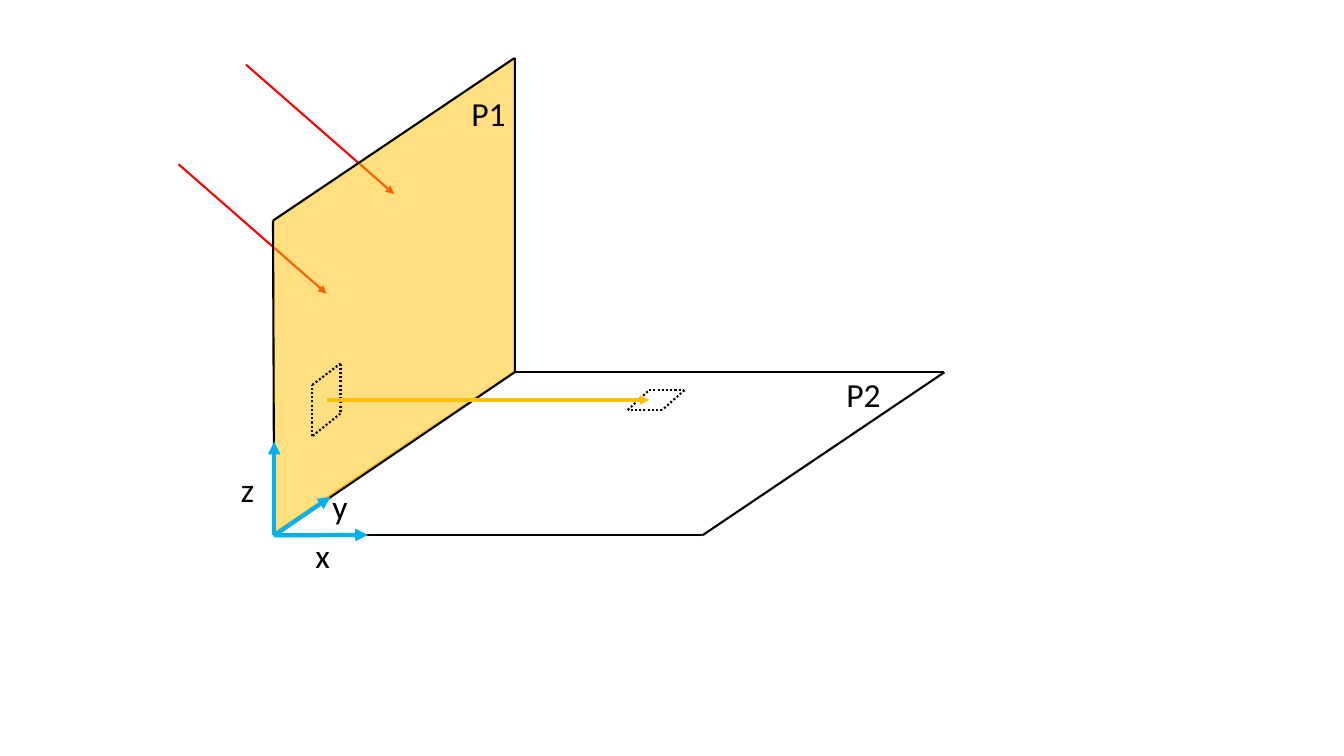
"""Draw light rays hitting plane P1 and the projected patch on plane P2."""
from dataclasses import dataclass

from lxml.etree import SubElement
from pptx import Presentation
from pptx.dml.color import RGBColor
from pptx.enum.dml import MSO_LINE_DASH_STYLE as Dash
from pptx.enum.shapes import MSO_CONNECTOR as Connector
from pptx.enum.text import MSO_AUTO_SIZE as AutoSize
from pptx.oxml.ns import qn
from pptx.slide import Slide
from pptx.util import Cm, Pt

RED = RGBColor(0xFF, 0x00, 0x00)
GOLD = RGBColor(0xFF, 0xC0, 0x00)
BLUE = RGBColor(0x00, 0xB0, 0xF0)
BLACK = RGBColor(0x00, 0x00, 0x00)

Point = tuple[float, float]


@dataclass(frozen=True)
class Stroke:
    color: RGBColor
    width: float
    arrow: bool = False
    dotted: bool = False


@dataclass(frozen=True)
class Label:
    text: str
    left: float
    top: float
    width: float


RAY = Stroke(RED, 1.5, arrow=True)
EDGE = Stroke(BLACK, 1.5)
AXIS = Stroke(BLUE, 3, arrow=True)
PATCH = Stroke(BLACK, 1.5, dotted=True)
PROJECTION = Stroke(GOLD, 2.25, arrow=True)

ORIGIN = (6.91, 13.49)
WALL_TOP_LEFT = (6.88, 5.56)
WALL_TOP_RIGHT = (12.97, 1.46)
HINGE = (12.97, 9.38)
FLOOR_BACK = (23.8, 9.38)
FLOOR_FRONT = (17.7, 13.49)

RAY_STARTS = [(6.2, 1.63), (4.5, 4.14)]
RAY_STEP = (3.73, 3.26)
PANEL = [(6.88, 5.56), (12.95, 1.47), (12.95, 9.37), (6.93, 13.41)]
WALL = [ORIGIN, WALL_TOP_LEFT, WALL_TOP_RIGHT, HINGE, ORIGIN]
FLOOR = [HINGE, FLOOR_BACK, FLOOR_FRONT, ORIGIN]
AXIS_TIPS = [(9.27, 13.48), (6.91, 11.13), (8.33, 12.52)]
WALL_PATCH = [(7.87, 9.7), (8.58, 9.16), (8.58, 10.42), (7.87, 10.99), (7.87, 9.7)]
FLOOR_PATCH = [(16.36, 9.83), (17.25, 9.83), (16.69, 10.33), (15.82, 10.33), (16.36, 9.83)]

LABELS = [
    Label("x", 7.7, 13.36, 0.89),
    Label("y", 8.13, 12.12, 0.89),
    Label("z", 5.82, 11.68, 0.86),
    Label("P1", 11.63, 2.21, 1.4),
    Label("P2", 21.08, 9.3, 1.4),
]


def draw_line(slide: Slide, start: Point, end: Point, stroke: Stroke) -> None:
    connector = slide.shapes.add_connector(
        Connector.STRAIGHT, *(Cm(value) for value in (*start, *end))
    )
    connector.line.color.rgb = stroke.color
    connector.line.width = Pt(stroke.width)
    if stroke.dotted:
        connector.line.dash_style = Dash.ROUND_DOT
    properties = connector._element.spPr
    if stroke.arrow:
        SubElement(properties.find(qn("a:ln")), qn("a:tailEnd"), type="triangle")
    SubElement(properties, qn("a:effectLst"))


def draw_path(slide: Slide, points: list[Point], stroke: Stroke) -> None:
    for start, end in zip(points, points[1:]):
        draw_line(slide, start, end, stroke)


def draw_panel(slide: Slide, corners: list[Point]) -> None:
    first, *others = [(Cm(x), Cm(y)) for x, y in corners]
    builder = slide.shapes.build_freeform(*first)
    builder.add_line_segments(others, close=True)
    panel = builder.convert_to_shape()
    panel.shadow.inherit = False
    panel.fill.solid()
    panel.fill.fore_color.rgb = GOLD
    fill_color = panel._element.spPr.find(qn("a:solidFill"))[0]
    SubElement(fill_color, qn("a:alpha"), val="50000")
    panel.line.color.rgb = GOLD
    panel.line.width = Pt(1)


def draw_label(slide: Slide, label: Label) -> None:
    box = slide.shapes.add_textbox(
        Cm(label.left), Cm(label.top), Cm(label.width), Cm(1.27)
    )
    frame = box.text_frame
    frame.word_wrap = False
    frame.auto_size = AutoSize.SHAPE_TO_FIT_TEXT
    run = frame.paragraphs[0].add_run()
    run.text = label.text
    run.font.name = "Calibri"
    run.font.size = Pt(24)
    run.font.color.rgb = BLACK


def main() -> None:
    presentation = Presentation()
    presentation.slide_width = Cm(33.87)
    presentation.slide_height = Cm(19.05)
    slide = presentation.slides.add_slide(presentation.slide_layouts[6])

    for x, y in RAY_STARTS:
        draw_line(slide, (x, y), (x + RAY_STEP[0], y + RAY_STEP[1]), RAY)
    draw_panel(slide, PANEL)
    for outline in (WALL, FLOOR):
        draw_path(slide, outline, EDGE)
    for tip in AXIS_TIPS:
        draw_line(slide, ORIGIN, tip, AXIS)
    for outline in (WALL_PATCH, FLOOR_PATCH):
        draw_path(slide, outline, PATCH)
    for label in LABELS:
        draw_label(slide, label)
    draw_line(slide, (8.23, 10.08), (16.36, 10.08), PROJECTION)

    presentation.save("out.pptx")


if __name__ == "__main__":
    main()
